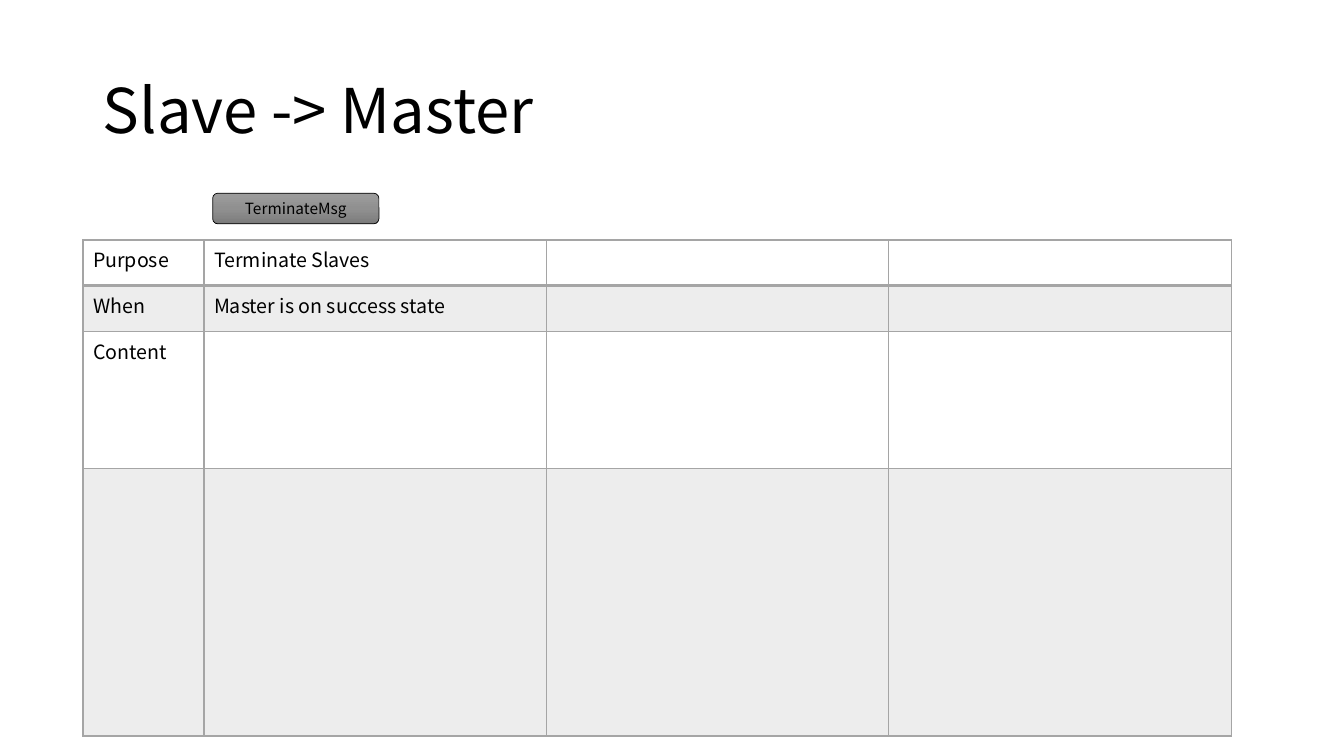
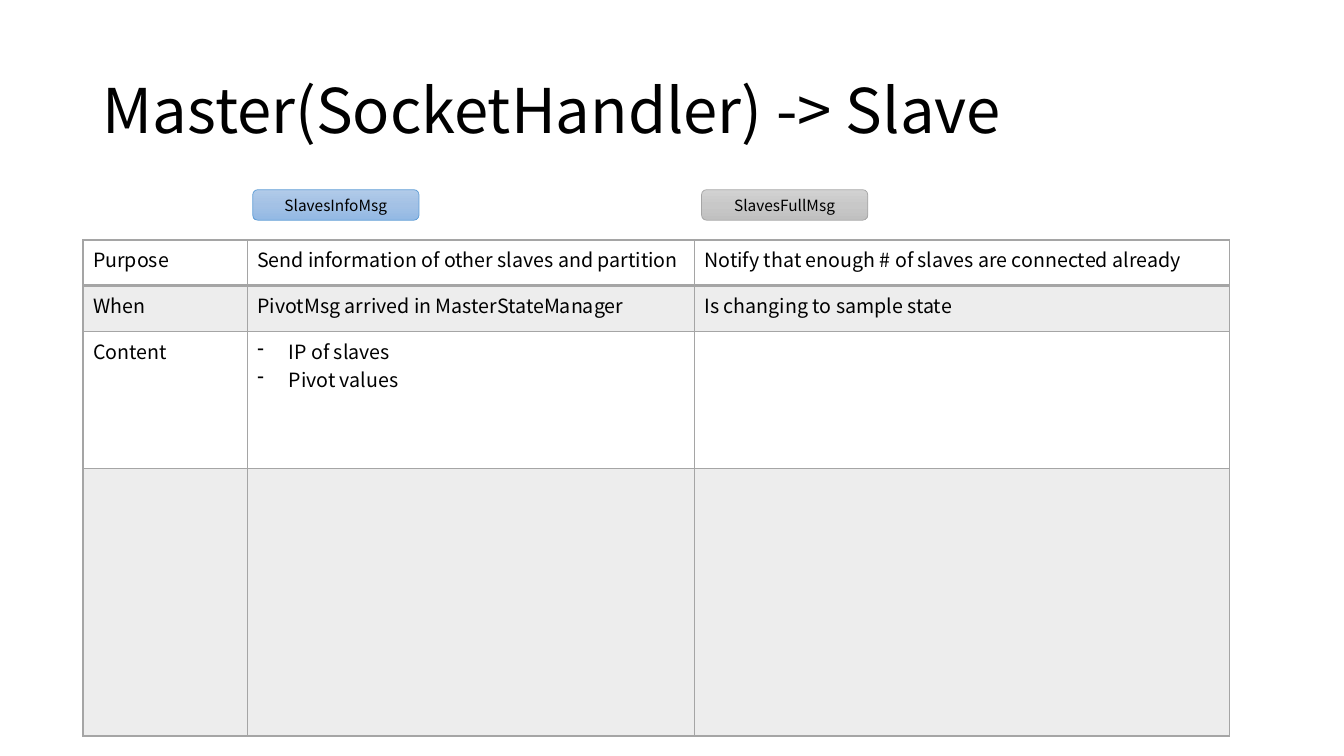
from copy import deepcopy

from lxml import etree
from pptx import Presentation
from pptx.dml.color import RGBColor
from pptx.enum.shapes import MSO_SHAPE
from pptx.enum.text import MSO_ANCHOR, PP_ALIGN
from pptx.oxml.ns import qn
from pptx.util import Cm, Pt

ROUND = MSO_SHAPE.ROUNDED_RECTANGLE
MIDDLE = MSO_ANCHOR.MIDDLE
LEFT, CENTER = PP_ALIGN.LEFT, PP_ALIGN.CENTER

# Shared style
FONT = "Noto Sans CJK KR"
BLACK, GREY, BAND = "000000", "A5A5A5", "EDEDED"
TITLE = (2.34, 1.02, 29.21, 3.68)
TABLE_X, TABLE_Y = 2.09, 6.05
ROWS = [1.15, 1.15, 3.45, 6.75]
TAG_W, TAG_H = 4.19, 0.77
INDENT = 0.79

# Tag colours: three gradient stops, then the line
DARK = (["9D9D9D", "909090", "7C7C7C"], BLACK)
BLUE = (["B1CBE9", "A3C1E5", "93B9E4"], "5B9BD5")
LIGHT = (["D2D2D2", "C8C8C8", "C0C0C0"], GREY)

# Content: a list in a cell is drawn as dashed items
SLIDES = [
    {
        "title": "Slave -> Master",
        "tags": [("TerminateMsg", 5.36, 4.87, DARK)],
        "cols": [3.05, 8.63, 8.63, 8.63],
        "cells": [
            ["Purpose", "Terminate Slaves", "", ""],
            ["When", "Master is on success state", "", ""],
            ["Content", "", "", ""],
            ["", "", "", ""],
        ],
    },
    {
        "title": "Master(SocketHandler) -> Slave",
        "tags": [
            ("SlavesInfoMsg", 6.37, 4.78, BLUE),
            ("SlavesFullMsg", 17.68, 4.78, LIGHT),
        ],
        "cols": [4.14, 11.27, 13.49],
        "cells": [
            ["Purpose", "Send information of other slaves and partition",
             "Notify that enough # of slaves are connected already"],
            ["When", "PivotMsg arrived in MasterStateManager",
             "Is changing to sample state"],
            ["Content", ["IP of slaves", "Pivot values"], ""],
            ["", "", ""],
        ],
    },
]


def color(code):
    return RGBColor.from_string(code)


def add_run(para, text, size):
    run = para.add_run()
    run.text = text
    run.font.name = FONT
    run.font.size = Pt(size)
    run.font.color.rgb = color(BLACK)


def add_title(slide, text):
    title = slide.shapes.title
    title.left, title.top, title.width, title.height = map(Cm, TITLE)
    frame = title.text_frame
    frame.vertical_anchor = MIDDLE
    para = frame.paragraphs[0]
    para.alignment = LEFT
    para.line_spacing = 0.9
    add_run(para, text, 44)


def add_tag(slide, text, x, y, look):
    stops, edge = look
    tag = slide.shapes.add_shape(ROUND, Cm(x), Cm(y), Cm(TAG_W), Cm(TAG_H))
    tag.shadow.inherit = False
    tag.line.color.rgb = color(edge)
    tag.line.width = Pt(0.5)

    # Top to bottom gradient with a middle stop
    tag.fill.gradient()
    tag.fill.gradient_angle = 270
    marks = tag._element.spPr.find(".//" + qn("a:gsLst"))
    marks.insert(1, deepcopy(marks[0]))
    for i, (stop, code) in enumerate(zip(tag.fill.gradient_stops, stops)):
        stop.position = i / 2
        stop.color.rgb = color(code)

    frame = tag.text_frame
    frame.vertical_anchor = MIDDLE
    para = frame.paragraphs[0]
    para.alignment = CENTER
    add_run(para, text, 11)


def add_edge(cell, side, width):
    line = etree.SubElement(cell._tc.get_or_add_tcPr(), qn("a:ln" + side),
                            w=str(Pt(width)))
    fill = etree.SubElement(line, qn("a:solidFill"))
    etree.SubElement(fill, qn("a:srgbClr"), val=GREY)


def add_dash(para):
    props = para._p.get_or_add_pPr()
    props.set("marL", str(Cm(INDENT)))
    props.set("indent", str(-Cm(INDENT)))
    etree.SubElement(props, qn("a:buChar"), char="-")


def fill_cell(cell, row, text):
    # Borders, with a heavier rule under the first row
    heavy = {(0, "B"), (1, "T")}
    for side in "LRTB":
        add_edge(cell, side, 2 if (row, side) in heavy else 1)
    if row % 2:
        cell.fill.solid()
        cell.fill.fore_color.rgb = color(BAND)
    else:
        cell.fill.background()

    # Plain text or dashed items
    frame = cell.text_frame
    items = text if isinstance(text, list) else [text]
    for i, item in enumerate(items):
        para = frame.add_paragraph() if i else frame.paragraphs[0]
        if items is text:
            add_dash(para)
        if item:
            add_run(para, item, 14)


def add_grid(slide, cols, cells):
    table = slide.shapes.add_table(
        len(ROWS), len(cols), Cm(TABLE_X), Cm(TABLE_Y),
        Cm(sum(cols)), Cm(sum(ROWS))).table
    table.first_row = False
    table.horz_banding = False
    for col, width in zip(table.columns, cols):
        col.width = Cm(width)
    for r, (height, texts) in enumerate(zip(ROWS, cells)):
        table.rows[r].height = Cm(height)
        for c, text in enumerate(texts):
            fill_cell(table.cell(r, c), r, text)


def main():
    deck = Presentation()
    deck.slide_width, deck.slide_height = Cm(33.87), Cm(19.05)
    layout = deck.slide_layouts.get_by_name("Title Only")
    for data in SLIDES:
        slide = deck.slides.add_slide(layout)
        add_title(slide, data["title"])
        add_grid(slide, data["cols"], data["cells"])
        for tag in data["tags"]:
            add_tag(slide, *tag)
    deck.save("out.pptx")


if __name__ == "__main__":
    main()
